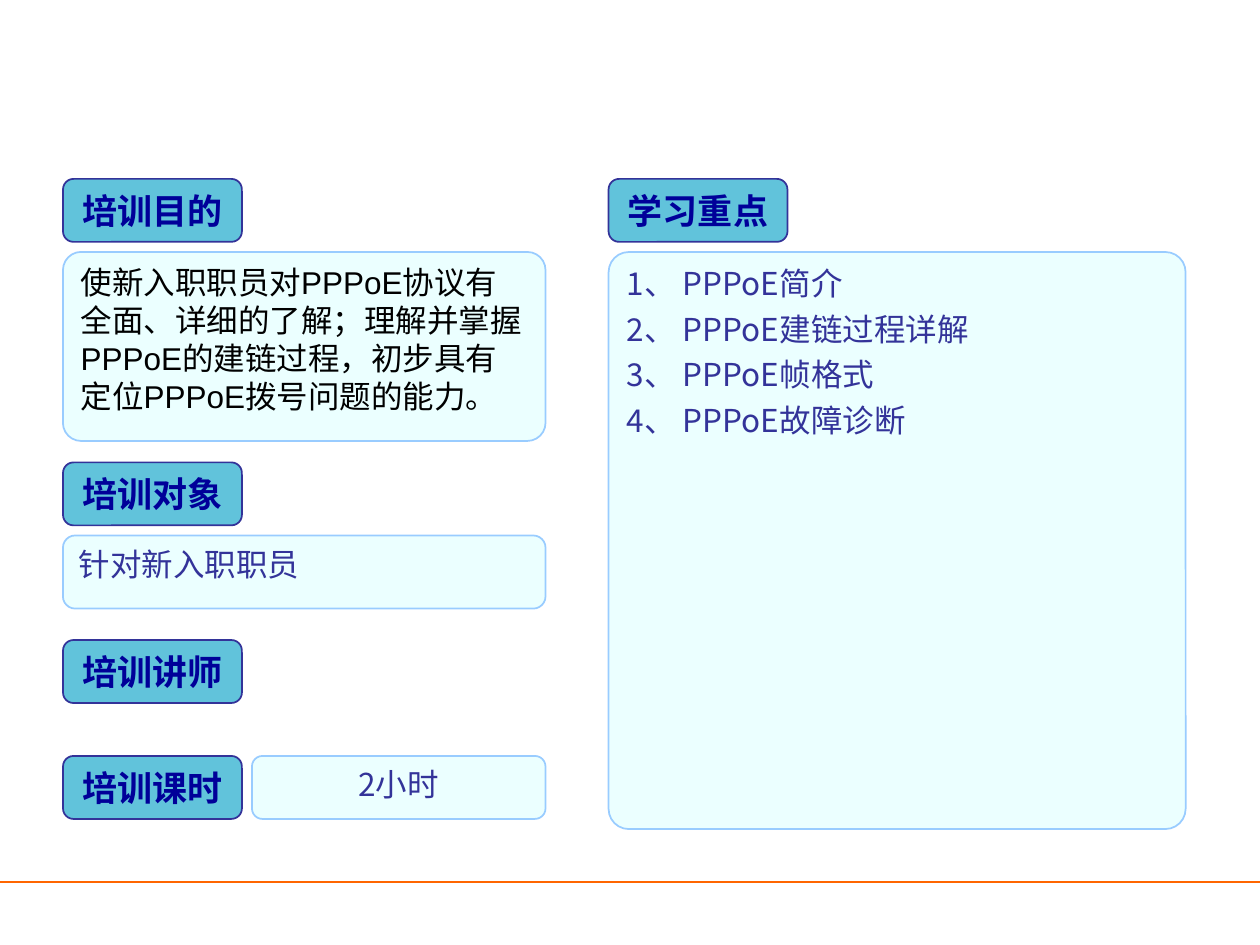
from typing import NamedTuple

from lxml.etree import SubElement
from pptx import Presentation
from pptx.dml.color import RGBColor
from pptx.enum.lang import MSO_LANGUAGE_ID as Lang
from pptx.enum.shapes import MSO_CONNECTOR as Link, MSO_SHAPE as Form
from pptx.enum.text import MSO_ANCHOR as Anchor, PP_ALIGN as Align
from pptx.oxml.ns import qn
from pptx.util import Inches, Pt

AQUA = RGBColor(0xCC, 0xFF, 0xFF)
SKY = RGBColor(0x99, 0xCC, 0xFF)
TEAL = RGBColor(0x35, 0xB3, 0xD1)
INDIGO = RGBColor(0x33, 0x33, 0x99)
NAVY = RGBColor(0x00, 0x00, 0x99)
BLACK = RGBColor(0x00, 0x00, 0x00)
ORANGE = RGBColor(0xFF, 0x66, 0x00)

LATIN = "Arial"
HAN = "Noto Sans CJK SC"
LEFT, RIGHT = 0.5, 4.83
TAG_W, TAG_H = 1.42, 0.5


class Style(NamedTuple):
    fill: RGBColor
    alpha: int
    line: RGBColor
    size: int
    bold: bool
    anchor: Anchor


class Box(NamedTuple):
    x: float
    y: float
    w: float
    h: float
    lines: list[str]
    style: Style
    color: RGBColor = INDIGO
    font: str = HAN
    align: Align = Align.LEFT
    round: float = 0.167


PANEL = Style(AQUA, 39, SKY, 18, False, Anchor.TOP)
TAG = Style(TEAL, 78, INDIGO, 20, True, Anchor.MIDDLE)


def tag(x: float, y: float, text: str) -> Box:
    return Box(x, y, TAG_W, TAG_H, [text], TAG, NAVY, LATIN, Align.CENTER)


BOXES = [
    Box(RIGHT, 2, 4.58, 4.58,
        ["1、 PPPoE简介", "2、 PPPoE建链过程详解", "3、 PPPoE帧格式", "4、 PPPoE故障诊断"],
        PANEL, round=0.035),
    Box(LEFT, 4.25, 3.83, 0.58, ["针对新入职职员"], PANEL, font=LATIN),
    Box(2, 6, 2.33, 0.5, ["2小时"], PANEL, align=Align.CENTER),
    Box(LEFT, 2, 3.83, 1.5,
        ["使新入职职员对PPPoE协议有全面、详细的了解；理解并掌握PPPoE的建链过程，"
         "初步具有定位PPPoE拨号问题的能力。"],
        PANEL, BLACK, LATIN, round=0.096),
    tag(LEFT, 1.42, "培训目的"),
    tag(LEFT, 3.67, "培训对象"),
    tag(LEFT, 5.08, "培训讲师"),
    tag(RIGHT, 1.42, "学习重点"),
    tag(LEFT, 6, "培训课时"),
]


def draw(slide, box: Box) -> None:
    style = box.style
    shape = slide.shapes.add_shape(
        Form.ROUNDED_RECTANGLE, *map(Inches, (box.x, box.y, box.w, box.h)))
    shape.adjustments[0] = box.round
    shape.shadow.inherit = False
    shape.fill.solid()
    shape.fill.fore_color.rgb = style.fill
    tint = shape.fill._xPr.find(qn("a:solidFill"))[0]
    SubElement(tint, qn("a:alpha"), val=str(style.alpha * 1000))
    shape.line.color.rgb = style.line
    shape.line.width = Pt(1)

    frame = shape.text_frame
    frame.word_wrap = True
    frame.vertical_anchor = style.anchor
    for i, line in enumerate(box.lines):
        para = frame.add_paragraph() if i else frame.paragraphs[0]
        para.alignment = box.align
        para.line_spacing = Pt(style.size * 1.2)
        if i:
            para.space_before = Pt(4.5)
        run = para.add_run()
        run.text = line
        font = run.font
        font.name = box.font
        font.size = Pt(style.size)
        font.bold = style.bold
        font.color.rgb = box.color
        font.language_id = Lang.SIMPLIFIED_CHINESE
        SubElement(font._element, qn("a:ea"), typeface=HAN)


def rule(slide, y: float) -> None:
    """Draw the line across the foot of the slide."""
    line = slide.shapes.add_connector(
        Link.STRAIGHT, Inches(0), Inches(y), Inches(10), Inches(y))
    line.line.color.rgb = ORANGE
    line.line.width = Pt(1.25)
    SubElement(line._element.spPr, qn("a:effectLst"))


def main() -> None:
    deck = Presentation()
    deck.slide_width, deck.slide_height = Inches(10), Inches(7.5)
    slide = deck.slides.add_slide(deck.slide_layouts[6])
    rule(slide, 7)
    for box in BOXES:
        draw(slide, box)
    deck.save("out.pptx")


if __name__ == "__main__":
    main()
